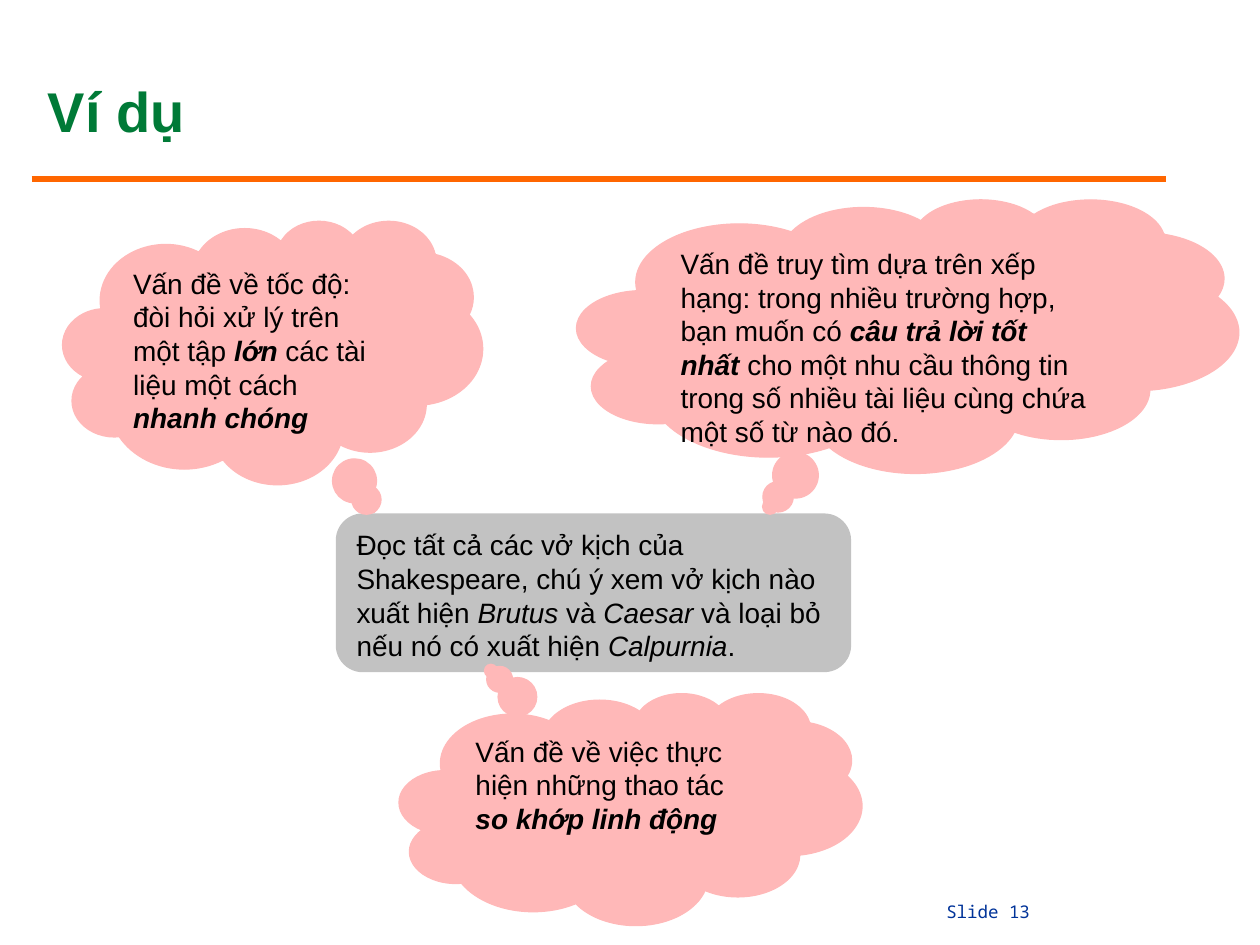
from lxml.etree import SubElement
from pptx import Presentation
from pptx.dml.color import RGBColor
from pptx.enum.shapes import MSO_CONNECTOR, MSO_SHAPE
from pptx.enum.text import MSO_ANCHOR, PP_ALIGN
from pptx.oxml.ns import qn
from pptx.util import Inches, Pt

PINK, GRAY, ORANGE = "FFB8B8", "C2C2C2", "FF6600"
GREEN, BLUE, BLACK = "007A37", "003399", "000000"
ITALIC = {"italic": True}
STRONG = {"bold": True, "italic": True}

QUERY = [
    ("Đọc tất cả các vở kịch của Shakespeare, chú ý xem vở kịch nào xuất hiện ", {}),
    ("Brutus", ITALIC), (" và ", {}), ("Caesar", ITALIC),
    (" và loại bỏ nếu nó có xuất hiện ", {}), ("Calpurnia", ITALIC), (".", {}),
]
# Each issue: box, tail adjustments, text runs
ISSUES = [
    ((0.5, 1.75, 3.33, 2.09), (0.233, 0.584), [
        ("Vấn đề về tốc độ: đòi hỏi xử lý trên một tập ", {}), ("lớn", STRONG),
        (" các tài liệu một cách ", {}), ("nhanh chóng", STRONG)]),
    ((4.58, 1.58, 5.25, 2.17), (-0.208, 0.625), [
        ("Vấn đề truy tìm dựa trên xếp hạng: trong nhiều trường hợp, bạn muốn có ", {}),
        ("câu trả lời tốt nhất ", STRONG),
        ("cho một nhu cầu thông tin trong số nhiều tài liệu cùng chứa một số từ nào đó.", {})]),
    ((3.17, 5.5, 3.67, 1.84), (-0.302, -0.596), [
        ("Vấn đề về việc thực hiện những thao tác ", {}), ("so khớp linh động", STRONG)]),
]


def rgb(value):
    return RGBColor.from_string(value)


def inches(box):
    return [Inches(length) for length in box]


def format_frame(frame, side, edge, anchor):
    settings = {
        "word_wrap": True, "vertical_anchor": anchor,
        "margin_left": Inches(side), "margin_right": Inches(side),
        "margin_top": Inches(edge), "margin_bottom": Inches(edge),
    }
    for name, value in settings.items():
        setattr(frame, name, value)


def write_runs(paragraph, runs, size, color, font="Arial"):
    paragraph.alignment = PP_ALIGN.LEFT
    for text, style in runs:
        run = paragraph.add_run()
        run.text = text
        run.font.color.rgb = rgb(color)
        settings = {"name": font, "size": Pt(size), "bold": False, "italic": False, **style}
        for name, value in settings.items():
            setattr(run.font, name, value)


def add_heading(slide, box):
    title = slide.shapes.title
    title.left, title.top, title.width, title.height = inches(box)
    format_frame(title.text_frame, 0.05, 0, MSO_ANCHOR.MIDDLE)
    paragraph = title.text_frame.paragraphs[0]
    paragraph.line_spacing = 0.9
    write_runs(paragraph, [("Ví dụ", {"bold": True})], 32, GREEN)


def add_rule(slide, left, top, width):
    rule = slide.shapes.add_connector(
        MSO_CONNECTOR.STRAIGHT, *inches((left, top, left + width, top)))
    rule.line.color.rgb = rgb(ORANGE)
    rule.line.width = Pt(3)
    SubElement(rule._element.spPr, qn("a:effectLst"))


def add_panel(slide, preset, box, adjustments, fill, runs):
    panel = slide.shapes.add_shape(preset, *inches(box))
    for index, value in enumerate(adjustments):
        panel.adjustments[index] = value
    panel.shadow.inherit = False
    panel.fill.solid()
    panel.fill.fore_color.rgb = rgb(fill)
    panel.line.color.rgb = rgb(fill)
    panel.line.width = Pt(0.75)
    format_frame(panel.text_frame, 0.1, 0.05, MSO_ANCHOR.TOP)
    write_runs(panel.text_frame.paragraphs[0], runs, 16, BLACK)


def add_slide_number(slide, box):
    frame = slide.shapes.add_textbox(*inches(box)).text_frame
    format_frame(frame, 0.09, 0, MSO_ANCHOR.TOP)
    paragraph = frame.paragraphs[0]
    tabs = SubElement(paragraph._p.get_or_add_pPr(), qn("a:tabLst"))
    SubElement(tabs, qn("a:tab"), pos=str(Inches(1)), algn="l")
    write_runs(paragraph, [("\tSlide 13", {})], 10, BLUE, "Noto Sans Mono")


def main():
    deck = Presentation()
    deck.slide_width, deck.slide_height = Inches(10), Inches(7.5)
    slide = deck.slides.add_slide(deck.slide_layouts[5])
    add_slide_number(slide, (6.42, 7.15, 3.58, 0.19))
    add_rule(slide, 0.25, 1.42, 9)
    add_heading(slide, (0.33, 0.67, 8.92, 0.48))
    add_panel(slide, MSO_SHAPE.ROUNDED_RECTANGLE, (2.67, 4.08, 4.08, 1.25),
              [0.167], GRAY, QUERY)
    for box, tail, runs in ISSUES:
        add_panel(slide, MSO_SHAPE.CLOUD_CALLOUT, box, tail, PINK, runs)
    deck.save("out.pptx")


if __name__ == "__main__":
    main()
